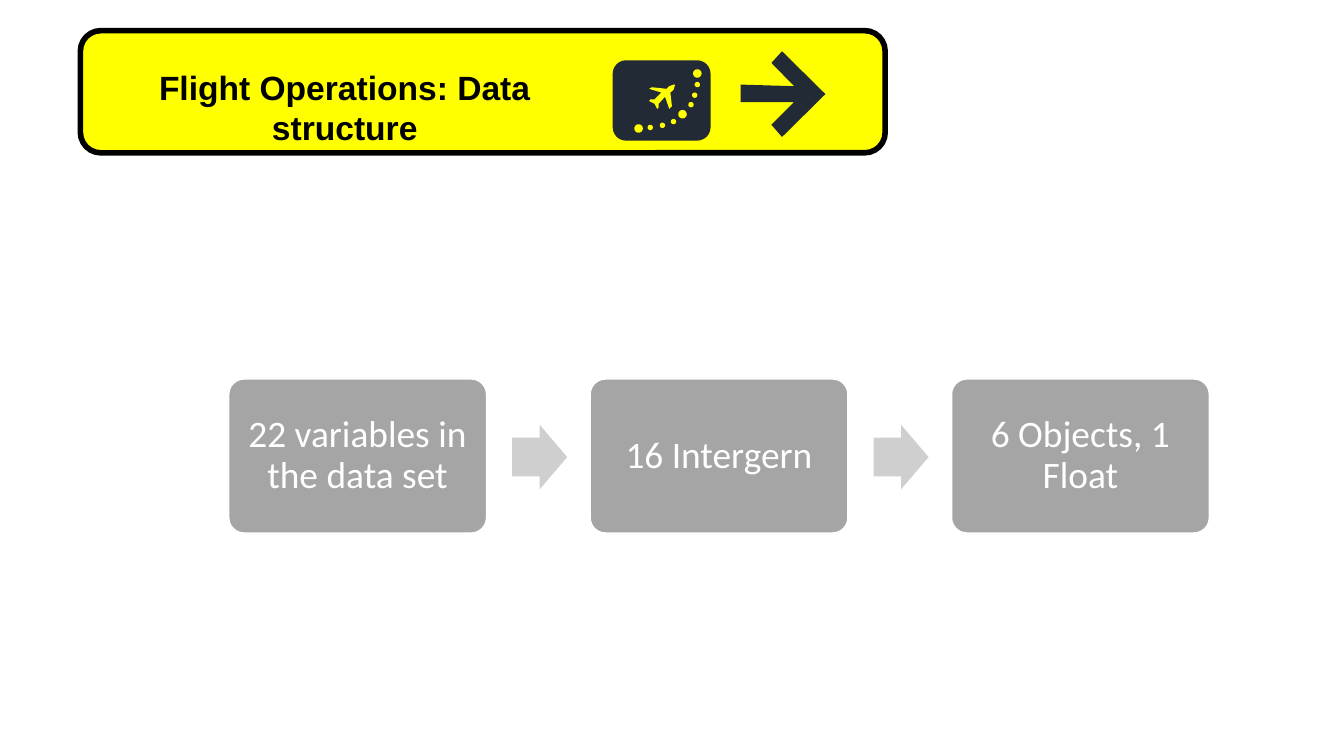
import math
from dataclasses import dataclass

import pptx
import pptx.dml.color
import pptx.enum.shapes
import pptx.enum.text
import pptx.util
from pptx.util import Cm

SHAPE = pptx.enum.shapes.MSO_SHAPE
ANCHOR = pptx.enum.text.MSO_ANCHOR


@dataclass(frozen=True)
class Theme:
    banner: str = "FFFF00"
    ink: str = "000000"
    icon: str = "222A35"
    card: str = "A5A5A5"
    step_arrow: str = "CFCFCF"
    light: str = "FFFFFF"
    title_font: str = "Arial"
    body_font: str = "Calibri"
    title_size: int = 18
    body_size: int = 20


def circle(center_x, center_y, radius, corners=24):
    """Return the outline points of a dot."""
    angles = [2 * math.pi * corner / corners for corner in range(corners)]
    return [(center_x + radius * math.cos(angle), center_y + radius * math.sin(angle))
            for angle in angles]


class SlideBuilder:
    def __init__(self, slide, theme):
        self.slide = slide
        self.theme = theme

    def paint(self, shape, fill, line=None, line_width=1):
        shape.shadow.inherit = False
        shape.fill.solid()
        shape.fill.fore_color.rgb = pptx.dml.color.RGBColor.from_string(fill)
        if line is None:
            shape.line.fill.background()
        else:
            shape.line.color.rgb = pptx.dml.color.RGBColor.from_string(line)
            shape.line.width = pptx.util.Pt(line_width)

    def preset(self, kind, left, top, width, height, fill, line=None, line_width=1):
        shape = self.slide.shapes.add_shape(kind, Cm(left), Cm(top), Cm(width), Cm(height))
        self.paint(shape, fill, line, line_width)
        return shape

    def outline(self, contours, fill):
        """Draw one shape made of several closed contours, with points in cm."""
        contours = [[(Cm(x), Cm(y)) for x, y in contour] for contour in contours]
        builder = self.slide.shapes.build_freeform(*contours[0][0])
        builder.add_line_segments(contours[0][1:])
        for contour in contours[1:]:
            builder.move_to(*contour[0])
            builder.add_line_segments(contour[1:])
        self.paint(builder.convert_to_shape(), fill)

    def text(self, shape, words, font, size, color, anchor, bold=False):
        frame = shape.text_frame
        frame.text = words
        frame.word_wrap = True
        frame.auto_size = pptx.enum.text.MSO_AUTO_SIZE.NONE
        frame.vertical_anchor = anchor
        para = frame.paragraphs[0]
        para.alignment = pptx.enum.text.PP_ALIGN.CENTER
        span = para.runs[0]
        span.font.name = font
        span.font.size = pptx.util.Pt(size)
        span.font.bold = bold
        span.font.color.rgb = pptx.dml.color.RGBColor.from_string(color)
        return frame

    def title(self, words, left, top, width, height):
        title = self.slide.shapes.title
        title.left, title.top = Cm(left), Cm(top)
        title.width, title.height = Cm(width), Cm(height)
        theme = self.theme
        frame = self.text(title, words, theme.title_font, theme.title_size,
                          theme.ink, ANCHOR.TOP, bold=True)
        frame.paragraphs[0].line_spacing = 1.0
        # The placeholder starts at the back; bring it in front of the banner.
        self.slide.shapes._spTree.append(title._element)

    def card(self, words, left, top, width, height):
        theme = self.theme
        card = self.preset(SHAPE.ROUNDED_RECTANGLE, left, top, width, height,
                           theme.card, theme.light)
        card.adjustments[0] = 0.1
        frame = self.text(card, words, theme.body_font, theme.body_size,
                          theme.light, ANCHOR.MIDDLE)
        frame.margin_left = frame.margin_right = Cm(0.2)
        frame.margin_top = frame.margin_bottom = Cm(0.2)
        frame.paragraphs[0].line_spacing = 0.9

    def step_arrow(self, left, top, width, height):
        arrow = self.preset(SHAPE.RIGHT_ARROW, left, top, width, height,
                            self.theme.step_arrow)
        arrow.adjustments[0] = 0.6
        arrow.adjustments[1] = 0.5


BANNER_ARROW = [(14, 1.6), (14, 1.93), (15.01, 1.93), (14.58, 2.36), (14.78, 2.59),
                (15.6, 1.78), (14.78, 0.97), (14.58, 1.19), (15.01, 1.63)]
PLANE = [(12.73, 1.6), (12.65, 1.63), (12.6, 1.68), (12.32, 1.65), (12.27, 1.68),
         (12.5, 1.75), (12.37, 1.88), (12.29, 1.88), (12.27, 1.91), (12.37, 1.96),
         (12.42, 2.06), (12.45, 2.03), (12.45, 1.96), (12.57, 1.83), (12.65, 2.06),
         (12.7, 2.01), (12.67, 1.75), (12.73, 1.7), (12.76, 1.6)]
ROUTE = [(13.18, 1.39), (13.18, 1.6), (13.13, 1.8), (13.06, 1.98), (12.9, 2.16),
         (12.73, 2.3), (12.52, 2.37), (12.29, 2.41), (12.07, 2.43)]
STEPS = ["22 variables in the data set", "16 Intergern", "6 Objects, 1 Float"]


def main():
    deck = pptx.Presentation()
    deck.slide_width, deck.slide_height = Cm(25.4), Cm(14.29)
    theme = Theme()
    page = SlideBuilder(deck.slides.add_slide(deck.slide_layouts[5]), theme)

    page.preset(SHAPE.ROUNDED_RECTANGLE, 1.52, 0.58, 15.21, 2.31,
                theme.banner, theme.ink, 3)
    page.outline([BANNER_ARROW], theme.icon)
    page.title("Flight Operations: Data structure", 1.45, 1.14, 10.13, 1.02)

    page.preset(SHAPE.ROUNDED_RECTANGLE, 11.58, 1.14, 1.85, 1.52, theme.icon)
    # Every fourth dot of the route is a larger stop.
    dots = [circle(x, y, 0.05 if index % 4 else 0.08)
            for index, (x, y) in enumerate(ROUTE)]
    page.outline([PLANE] + dots, theme.banner)

    first_left, pitch = 4.32, 6.83
    for index, words in enumerate(STEPS):
        left = first_left + index * pitch
        if index:
            page.step_arrow(left - 1.47, 8.03, 1.04, 1.22)
        page.card(words, left, 7.16, 4.88, 2.92)

    deck.save("out.pptx")


if __name__ == "__main__":
    main()
